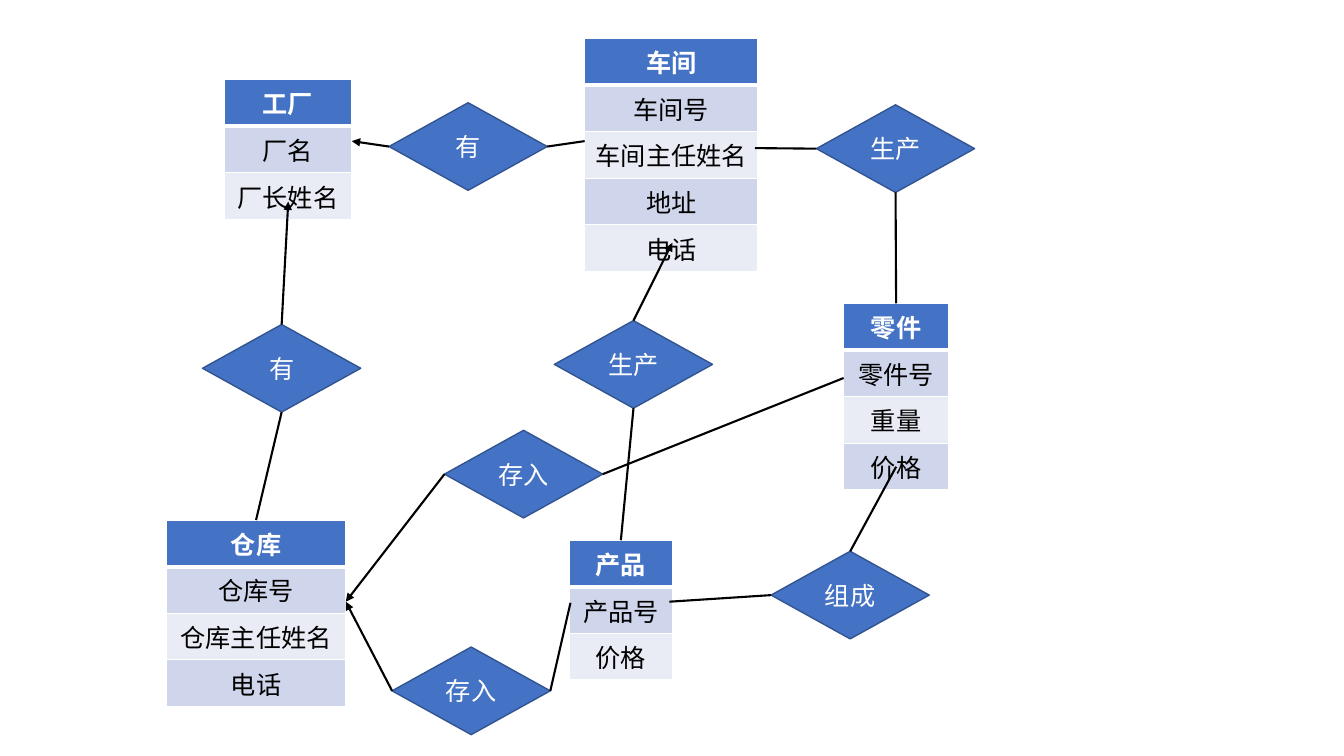
from dataclasses import dataclass

from lxml.etree import SubElement
from pptx import Presentation
from pptx.dml.color import RGBColor
from pptx.enum.shapes import MSO_CONNECTOR, MSO_SHAPE
from pptx.enum.text import MSO_ANCHOR, PP_ALIGN
from pptx.oxml.ns import qn
from pptx.util import Pt


@dataclass(frozen=True)
class Theme:
    font: str = "Noto Sans CJK SC"
    size: float = 18
    accent: str = "4472C4"
    outline: str = "325491"
    bands: tuple = ("CFD5EA", "E9EBF5")
    light: str = "FFFFFF"
    dark: str = "000000"


THEME = Theme()
ROW_HEIGHT = 29.2
DIAMOND_WIDTH, DIAMOND_HEIGHT = 113, 62.6
TOP, LEFT, BOTTOM, RIGHT = range(4)

ENTITIES = [
    (160, 56.9, 91.2, ["工厂", "厂名", "厂长姓名"]),
    (417.6, 27.4, 123.8, ["车间", "车间号", "车间主任姓名", "地址", "电话"]),
    (118.8, 371.5, 128.2, ["仓库", "仓库号", "仓库主任姓名", "电话"]),
    (602.6, 216.7, 74.9, ["零件", "零件号", "重量", "价格"]),
    (406.8, 385.9, 73.4, ["产品", "产品号", "价格"]),
]

RELATIONSHIPS = [
    (144.7, 231.8, "有", [(BOTTOM, 182.9, 371.5, False), (TOP, 205.9, 144, True)]),
    (277.9, 73.4, "有", [(RIGHT, 417.6, 100.8, False), (LEFT, 251.3, 100.8, True)]),
    (583.2, 74.9, "生产", [(LEFT, 539.3, 105.8, False), (BOTTOM, 640.1, 216.7, False)]),
    (396, 229, "生产", [(TOP, 480.2, 173.5, True), (BOTTOM, 443.5, 385.9, False)]),
    (550.8, 393.8, "组成", [(LEFT, 478.1, 429.8, False), (TOP, 640.1, 333.4, False)]),
    (317.5, 307.4, "存入", [(RIGHT, 602.6, 270, False), (LEFT, 247, 429.8, True)]),
    (280.1, 462.2, "存入", [(RIGHT, 407.5, 430.6, False), (LEFT, 247, 429.8, True)]),
]


def write_text(text_frame, text, color, bold=False):
    paragraph = text_frame.paragraphs[0]
    paragraph.text = text
    paragraph.alignment = PP_ALIGN.CENTER
    font = paragraph.font
    font.name = THEME.font
    font.size = Pt(THEME.size)
    font.bold = bold
    font.color.rgb = RGBColor.from_string(color)
    properties = paragraph._p.pPr.find(qn("a:defRPr"))
    SubElement(properties, qn("a:ea"), typeface=THEME.font)


def set_borders(cell, bottom_width):
    properties = cell._tc.get_or_add_tcPr()
    for side, width in (("L", 1), ("R", 1), ("T", 1), ("B", bottom_width)):
        border = SubElement(properties, qn(f"a:ln{side}"), w=str(Pt(width)))
        fill = SubElement(border, qn("a:solidFill"))
        SubElement(fill, qn("a:srgbClr"), val=THEME.light)


def add_entity(slide, left, top, width, labels):
    frame = slide.shapes.add_table(
        len(labels), 1, Pt(left), Pt(top), Pt(width), Pt(ROW_HEIGHT * len(labels))
    )
    for index, label in enumerate(labels):
        is_header = index == 0
        cell = frame.table.cell(index, 0)
        set_borders(cell, 3 if is_header else 1)
        cell.fill.solid()
        color = THEME.accent if is_header else THEME.bands[(index - 1) % 2]
        cell.fill.fore_color.rgb = RGBColor.from_string(color)
        write_text(cell.text_frame, label, THEME.light if is_header else THEME.dark, is_header)


def add_relationship(slide, left, top, label):
    diamond = slide.shapes.add_shape(
        MSO_SHAPE.DIAMOND, Pt(left), Pt(top), Pt(DIAMOND_WIDTH), Pt(DIAMOND_HEIGHT)
    )
    diamond.shadow.inherit = False
    diamond.fill.solid()
    diamond.fill.fore_color.rgb = RGBColor.from_string(THEME.accent)
    diamond.line.color.rgb = RGBColor.from_string(THEME.outline)
    diamond.line.width = Pt(1)
    diamond.text_frame.vertical_anchor = MSO_ANCHOR.MIDDLE
    write_text(diamond.text_frame, label, THEME.light)
    return diamond


def add_link(slide, diamond, corner, end_x, end_y, has_arrow):
    connector = slide.shapes.add_connector(
        MSO_CONNECTOR.STRAIGHT, diamond.left, diamond.top, Pt(end_x), Pt(end_y)
    )
    connector.begin_connect(diamond, corner)
    connector.line.color.rgb = RGBColor.from_string(THEME.dark)
    connector.line.width = Pt(1.5)
    if has_arrow:
        SubElement(connector.line._get_or_add_ln(), qn("a:tailEnd"), type="triangle")
    SubElement(connector._element.spPr, qn("a:effectLst"))


def main():
    presentation = Presentation()
    presentation.slide_width = Pt(960)
    presentation.slide_height = Pt(540)
    slide = presentation.slides.add_slide(presentation.slide_layouts[6])
    for left, top, width, labels in ENTITIES:
        add_entity(slide, left, top, width, labels)
    diamonds = [add_relationship(slide, *item[:3]) for item in RELATIONSHIPS]
    for diamond, (*_, links) in zip(diamonds, RELATIONSHIPS):
        for link in links:
            add_link(slide, diamond, *link)
    presentation.save("out.pptx")


if __name__ == "__main__":
    main()
